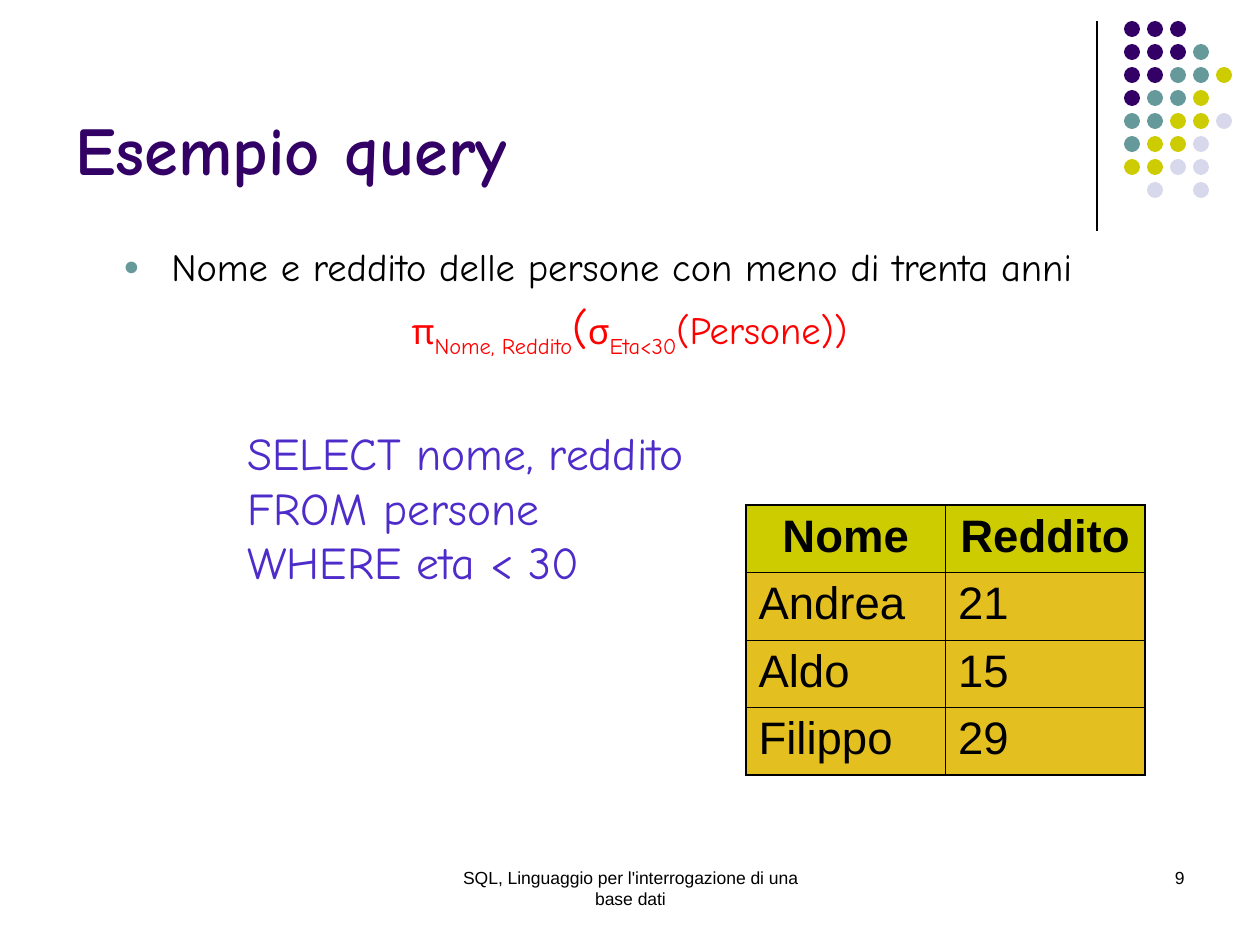
from lxml.etree import SubElement
from pptx import Presentation
from pptx.dml.color import RGBColor
from pptx.enum.shapes import MSO_CONNECTOR, MSO_SHAPE
from pptx.enum.text import MSO_ANCHOR, PP_ALIGN
from pptx.oxml.ns import qn
from pptx.util import Emu, Pt

EMU_PER_PX = 914400 / 126
COLORS = {
    "black": "000000", "purple": "330066", "teal": "669999",
    "olive": "CCCC00", "lilac": "D8D8EC", "red": "FF0000",
    "blue": "4E2CCA", "gold": "E4BF20",
}
HAND, SANS = "Comic Neue", "Arial"

# One letter per dot: the initial of its colour, a space where none is drawn
DOT_ROWS = ["ppp", "pppt", "pptto", "ptto", "ttool", "tool", "ooll", " l l"]
DOT_COLORS = {name[0]: name for name in ("purple", "teal", "olive", "lilac")}

PEOPLE = [("Nome", "Reddito"), ("Andrea", "21"), ("Aldo", "15"), ("Filippo", "29")]


def px(length):
    return Emu(round(length * EMU_PER_PX))


def rgb(color):
    return RGBColor.from_string(COLORS[color])


def apply(target, formats):
    for name, value in formats.items():
        setattr(target, name, value)


def add_run(paragraph, text, size, color, font=HAND, bold=False, baseline=None):
    run = paragraph.add_run()
    run.text = text
    apply(run.font, {"size": Pt(size), "name": font, "bold": bold})
    run.font.color.rgb = rgb(color)
    if baseline:
        run._r.get_or_add_rPr().set("baseline", str(baseline))


def add_text_frame(slide, left, top, width, height, anchor=MSO_ANCHOR.TOP):
    box = slide.shapes.add_textbox(px(left), px(top), px(width), px(height))
    frame = box.text_frame
    apply(frame, {"word_wrap": True, "vertical_anchor": anchor})
    return frame


def add_label(slide, area, text, align, anchor=MSO_ANCHOR.TOP, **style):
    paragraph = add_text_frame(slide, *area, anchor).paragraphs[0]
    paragraph.alignment = align
    add_run(paragraph, text, **style)


def set_indent(paragraph, left, first=0):
    properties = paragraph._p.get_or_add_pPr()
    properties.set("marL", str(px(left)))
    properties.set("indent", str(px(first)))
    return properties


def add_bullet(paragraph, char, color, percent):
    properties = set_indent(paragraph, 96, -48)
    tint = SubElement(properties, qn("a:buClr"))
    SubElement(tint, qn("a:srgbClr"), val=COLORS[color])
    SubElement(properties, qn("a:buSzPct"), val=str(percent * 1000))
    SubElement(properties, qn("a:buFont"), typeface=SANS)
    SubElement(properties, qn("a:buChar"), char=char)


def add_rule(slide, x, top, bottom):
    rule = slide.shapes.add_connector(
        MSO_CONNECTOR.STRAIGHT, px(x), px(top), px(x), px(bottom))
    rule.line.color.rgb = rgb("black")
    rule.line.width = Pt(0.75)
    SubElement(rule._element.spPr, qn("a:effectLst"))


def add_dots(slide, left, top, size, pitch):
    for row, letters in enumerate(DOT_ROWS):
        for column, letter in enumerate(letters):
            if letter == " ":
                continue
            dot = slide.shapes.add_shape(
                MSO_SHAPE.OVAL, px(left + column * pitch), px(top + row * pitch),
                px(size), px(size))
            dot.shadow.inherit = False
            dot.fill.solid()
            dot.fill.fore_color.rgb = rgb(DOT_COLORS[letter])
            dot.line.fill.background()


def add_body(slide):
    frame = add_text_frame(slide, 63, 237, 1133, 607)

    request = frame.paragraphs[0]
    add_bullet(request, "●", "teal", 70)
    add_run(request, "Nome e reddito delle persone con meno di trenta anni", 22, "black")

    # Relational algebra, with subscripts
    algebra = frame.add_paragraph()
    apply(algebra, {"alignment": PP_ALIGN.CENTER, "space_before": Pt(5.5)})
    for text, size, baseline in [
        ("π", 20, None), ("Nome, Reddito", 22, -25000), ("(", 26, None),
        ("σ", 20, None), ("Eta<30", 22, -25000), ("(Persone))", 22, None),
    ]:
        add_run(algebra, text, size, "red", baseline=baseline)

    # SQL, set apart from the algebra
    for text, gap in [("SELECT nome, reddito", 38), ("FROM persone", 0),
                      ("WHERE eta < 30", 0)]:
        clause = frame.add_paragraph()
        clause.space_before = Pt(gap)
        set_indent(clause, 172)
        add_run(clause, text, 26, "blue")


def set_borders(cell, widths):
    properties = cell._tc.get_or_add_tcPr()
    for side, width in widths.items():
        border = SubElement(properties, qn(f"a:ln{side}"), w=str(Pt(width)))
        fill = SubElement(border, qn("a:solidFill"))
        SubElement(fill, qn("a:srgbClr"), val=COLORS["black"])


def add_people_table(slide, left, top, width, height):
    rows, columns = len(PEOPLE), len(PEOPLE[0])
    table = slide.shapes.add_table(
        rows, columns, px(left), px(top), px(width), px(height)).table
    outer, inner = 1.08, 0.45
    for r, record in enumerate(PEOPLE):
        header = r == 0
        for c, text in enumerate(record):
            cell = table.cell(r, c)
            set_borders(cell, {
                "L": outer if c == 0 else inner,
                "R": outer if c == columns - 1 else inner,
                "T": outer if header else inner,
                "B": outer if r == rows - 1 else inner,
            })
            cell.fill.solid()
            cell.fill.fore_color.rgb = rgb("olive" if header else "gold")
            paragraph = cell.text_frame.paragraphs[0]
            paragraph.alignment = PP_ALIGN.CENTER if header else PP_ALIGN.LEFT
            add_run(paragraph, text, 26, "black", SANS, bold=header)


def main():
    deck = Presentation()
    apply(deck, {"slide_width": px(1260), "slide_height": px(945)})
    slide = deck.slides.add_slide(deck.slide_layouts[6])

    # Corner decoration
    add_rule(slide, 1097, 21, 231)
    add_dots(slide, 1124, 21, 16, 23)

    # Footer and page number
    footer = {"size": 10, "color": "black", "font": SANS}
    add_label(slide, (431, 861, 399, 63),
              "SQL, Linguaggio per l'interrogazione di una base dati",
              PP_ALIGN.CENTER, **footer)
    add_label(slide, (903, 861, 294, 63), "9", PP_ALIGN.RIGHT, **footer)

    # Title and content
    add_label(slide, (63, 16, 1040, 179), "Esempio query", PP_ALIGN.LEFT,
              MSO_ANCHOR.BOTTOM, size=39, color="purple", bold=True)
    add_body(slide)
    add_people_table(slide, 746, 505, 399, 270)

    deck.save("out.pptx")


if __name__ == "__main__":
    main()
